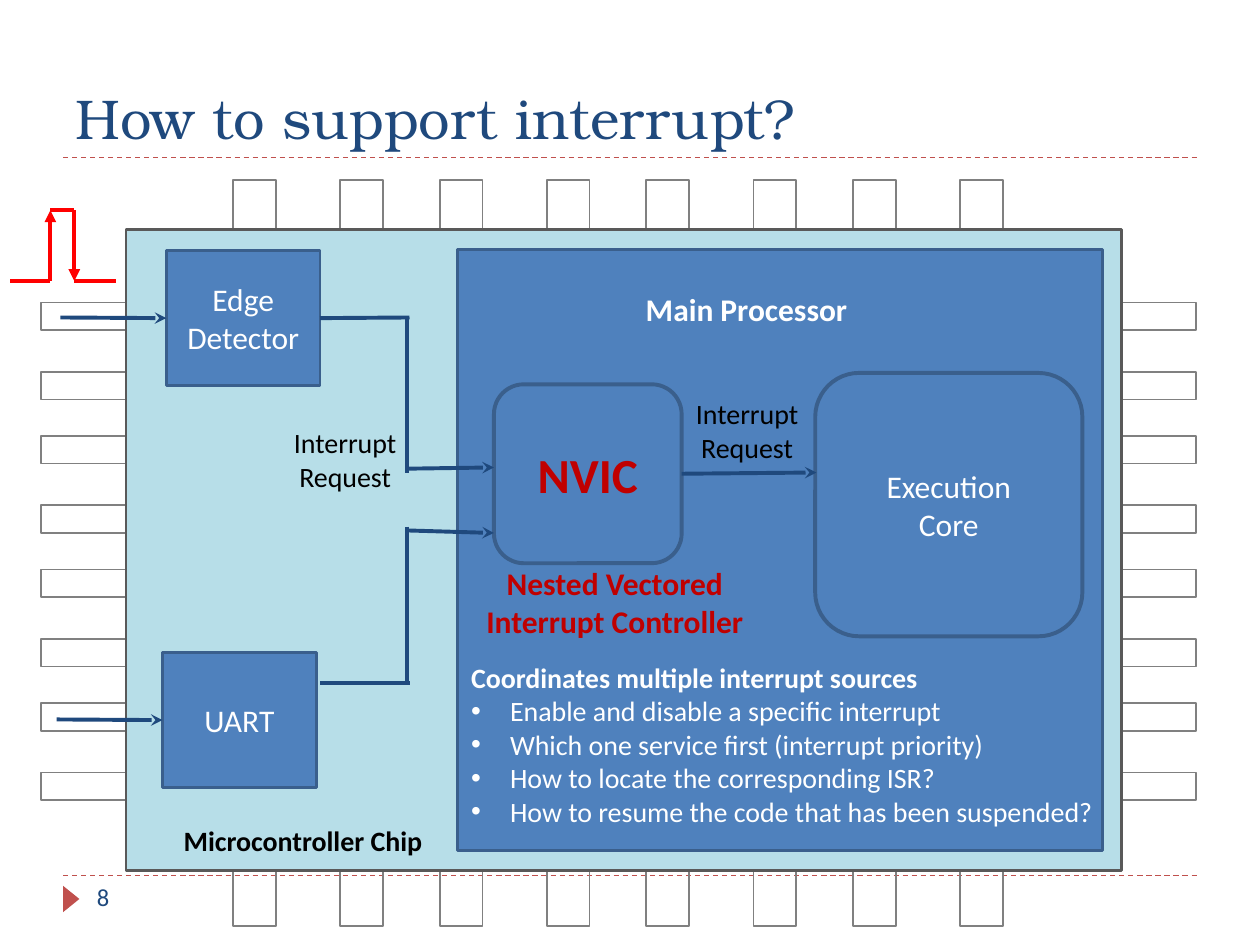
from dataclasses import dataclass
from typing import Optional

from lxml import etree
from pptx import Presentation
from pptx import util as u
from pptx.dml.color import RGBColor
from pptx.enum import dml, shapes, text
from pptx.oxml.ns import qn

COLUMNS, ROWS = 100, 75  # the slide as a grid of square cells
NAVY, BLUE, EDGE, RED = "1F497D", "4F81BD", "3A5F8C", "C0504D"
PULSE, DEEP_RED, WHITE, BLACK = "FF0000", "C00000", "FFFFFF", "000000"
KIND = shapes.MSO_SHAPE
LEFT_SIDE, RIGHT_SIDE = 1, 3

deck = Presentation()
deck.slide_width, deck.slide_height = u.Inches(10), u.Inches(7.5)
slide = deck.slides.add_slide(deck.slide_layouts[5])


@dataclass
class Block:
    column: float
    row: float
    columns: float
    rows: float
    fill: Optional[str] = None
    line: Optional[str] = EDGE
    weight: float = 1.5
    kind: int = KIND.RECTANGLE
    label: str = ""
    size: float = 18
    color: str = WHITE
    bold: bool = False


@dataclass
class Wire:
    start: tuple
    end: tuple
    color: str = NAVY
    weight: float = 2.25
    head: str = ""
    tail: str = ""
    dashed: bool = False


def rgb(value: str) -> RGBColor:
    return RGBColor.from_string(value)


def across(columns: float) -> int:
    return round(deck.slide_width * columns / COLUMNS)


def down(rows: float) -> int:
    return round(deck.slide_height * rows / ROWS)


def area(column: float, row: float, columns: float, rows: float) -> tuple:
    return across(column), down(row), across(columns), down(rows)


def write(frame, content: str, size: float = 18, color: str = WHITE, bold: bool = False,
          align=text.PP_ALIGN.CENTER, font: str = "Calibri",
          bullet: str = "", append: bool = False) -> None:
    """Write each line of content as one paragraph."""
    for number, line in enumerate(content.split("\n")):
        paragraph = frame.add_paragraph() if append or number else frame.paragraphs[0]
        if bullet:
            props = paragraph._p.get_or_add_pPr()
            props.set("marL", str(across(3.1)))
            props.set("indent", str(-across(3.1)))
            etree.SubElement(props, qn("a:buFont"), typeface="Arial")
            etree.SubElement(props, qn("a:buChar"), char=bullet)
        paragraph.alignment = align
        run = paragraph.add_run()
        run.text = line
        run.font.name, run.font.size, run.font.bold = font, u.Pt(size), bold
        run.font.color.rgb = rgb(color)


def draw_block(block: Block):
    shape = slide.shapes.add_shape(
        block.kind, *area(block.column, block.row, block.columns, block.rows))
    shape.shadow.inherit = False
    if block.fill:
        shape.fill.solid()
        shape.fill.fore_color.rgb = rgb(block.fill)
    else:
        shape.fill.background()
    if block.line:
        shape.line.color.rgb = rgb(block.line)
        shape.line.width = u.Pt(block.weight)
    else:
        shape.line.fill.background()
    if block.label:
        shape.text_frame.vertical_anchor = text.MSO_ANCHOR.MIDDLE
        write(shape.text_frame, block.label, block.size, block.color, block.bold)
    return shape


def draw_wire(wire: Wire):
    (x1, y1), (x2, y2) = wire.start, wire.end
    connector = slide.shapes.add_connector(
        shapes.MSO_CONNECTOR.STRAIGHT, across(x1), down(y1), across(x2), down(y2))
    connector.line.color.rgb = rgb(wire.color)
    connector.line.width = u.Pt(wire.weight)
    if wire.dashed:
        connector.line.dash_style = dml.MSO_LINE.DASH
    outline = connector.line._get_or_add_ln()
    for tag, arrow in (("a:headEnd", wire.head), ("a:tailEnd", wire.tail)):
        if arrow:
            etree.SubElement(outline, qn(tag), type=arrow)
    etree.SubElement(connector._element.spPr, qn("a:effectLst"))
    return connector


def draw_text(column: float, row: float, columns: float, rows: float, content: str,
              wrap: bool = True, **style):
    frame = slide.shapes.add_textbox(*area(column, row, columns, rows)).text_frame
    frame.word_wrap = wrap
    frame.auto_size = text.MSO_AUTO_SIZE.SHAPE_TO_FIT_TEXT
    write(frame, content, **style)
    return frame


# Page furniture: rules, marker, title and page number
for row in (69.5, 12.5):
    draw_wire(Wire((5, row), (95, row), RED, 0.75, dashed=True))
marker = draw_block(Block(4.6, 70.7, 2.1, 1.3, RED, None, kind=KIND.ISOSCELES_TRIANGLE))
marker.rotation = 90

title = slide.shapes.title
title.left, title.top, title.width, title.height = area(5, 1.7, 90, 10.8)
title.text_frame.vertical_anchor = text.MSO_ANCHOR.BOTTOM
write(title.text_frame, "How to support interrupt?", size=32, color=NAVY,
      align=text.PP_ALIGN.LEFT, font="TeX Gyre Bonum")
draw_text(6.7, 69.5, 21.7, 4, "8", size=14, color=NAVY, align=text.PP_ALIGN.LEFT)

# Chip pins: bars in pairs running behind the body
for pair in range(4):
    for offset in (0, 8.5):
        draw_block(Block(18.5 + 16.4 * pair + offset, 14.3, 3.4, 59.2, line="808080", weight=1))
for pair in range(4):
    for offset in (0, 5.5):
        draw_block(Block(3.25, 24 + 10.6 * pair + offset, 91.7, 2.2, line="808080", weight=1))

# Chip body and its main blocks
draw_block(Block(10, 18.2, 79, 50.9, "B7DEE8", "595959"))
detector = draw_block(Block(13.2, 19.9, 12.2, 10.7, BLUE, label="Edge Detector"))
uart = draw_block(Block(12.9, 51.8, 12.2, 10.7, BLUE, label="UART"))
draw_block(Block(36.3, 19.8, 51.2, 47.7, BLUE))
draw_block(Block(64.7, 29.6, 21.2, 20.9, weight=2.25, kind=KIND.ROUNDED_RECTANGLE,
                 label="Execution\nCore"))
nvic = draw_block(Block(39.2, 30.5, 14.9, 14.2, weight=2.25, kind=KIND.ROUNDED_RECTANGLE,
                        label="NVIC", size=28, color=DEEP_RED, bold=True))

# Input pulse
PULSE_RISE, PULSE_FALL, PULSE_TOP, PULSE_BASE = 4, 5.9, 16.7, 22.3
for wire in (
    Wire((0.8, PULSE_BASE), (PULSE_RISE, PULSE_BASE), PULSE),
    Wire((PULSE_RISE, PULSE_TOP), (PULSE_RISE, PULSE_BASE), PULSE, head="triangle"),
    Wire((PULSE_FALL, PULSE_TOP), (PULSE_FALL, PULSE_BASE), PULSE, tail="triangle"),
    Wire((PULSE_FALL, PULSE_BASE), (9.2, PULSE_BASE), PULSE),
    Wire((PULSE_RISE, PULSE_TOP), (PULSE_FALL, PULSE_TOP), PULSE),
):
    draw_wire(wire)

# Signals into the two sources
draw_wire(Wire((4.8, 25.2), (13.2, 25.2), tail="stealth")).end_connect(detector, LEFT_SIDE)
draw_wire(Wire((4.5, 57.1), (12.9, 57.1), tail="stealth")).end_connect(uart, LEFT_SIDE)

# Requests from the sources to the controller, then to the core
BUS = 32.3
detector_out = draw_wire(Wire((25.4, 25.2), (32.5, 25.2)))
detector_out.begin_connect(detector, RIGHT_SIDE)
draw_wire(Wire((25.4, 54.2), (32.5, 54.2)))
for source_row, bend_row, entry_start, entry_end in ((25.2, 37.5, 37.2, 37.1),
                                                     (54.2, 41.8, 42.1, 42.3)):
    draw_wire(Wire((BUS, bend_row), (BUS, source_row)))
    draw_wire(Wire((BUS, entry_start), (39.2, entry_end), tail="stealth"))
draw_wire(Wire((54.1, 37.6), (64.8, 37.5), tail="stealth")).begin_connect(nvic, RIGHT_SIDE)

# Labels
for column, row in ((21.1, 33.3), (53, 31)):
    draw_text(column, row, 12.6, 6.4, "Interrupt Request", size=16, color=BLACK)
draw_text(49.2, 22.5, 20.1, 4, "Main Processor", wrap=False, bold=True)
draw_text(10.6, 64.9, 26.9, 3.7, "Microcontroller Chip", size=16, color=BLACK, bold=True)
draw_text(35.8, 44.3, 26, 7.1, "Nested Vectored Interrupt Controller", color=DEEP_RED, bold=True)

# Controller duties
duties = draw_text(36.4, 51.9, 52.6, 14.5, "Coordinates multiple interrupt sources",
                   wrap=False, size=16, bold=True, align=text.PP_ALIGN.LEFT)
write(duties, "Enable and disable a specific interrupt\n"
              "Which one service first (interrupt priority)\n"
              "How to locate the corresponding ISR?\n"
              "How to resume the code that has been suspended?",
      size=16, align=text.PP_ALIGN.LEFT, bullet="•", append=True)

deck.save("out.pptx")
